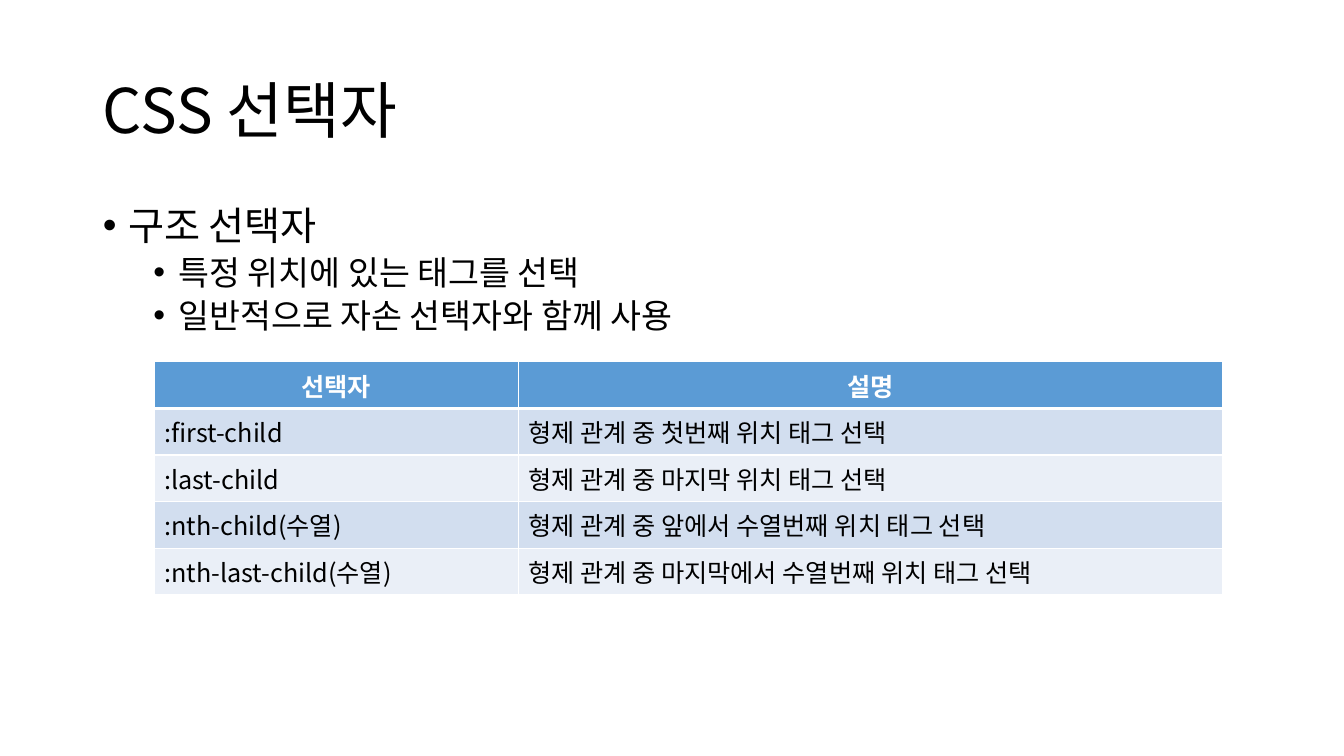
import lxml.etree
import pptx
import pptx.dml.color
import pptx.enum.text
import pptx.oxml.ns
import pptx.util

WIDTH, HEIGHT = 13.33, 7.5
FONT = "Noto Sans CJK KR"
BLACK, WHITE, HEADER = "000000", "FFFFFF", "5B9BD5"
BANDS = ("D2DEEF", "EAEFF7")
BULLETS = [
    (0, "구조 선택자"),
    (1, "특정 위치에 있는 태그를 선택"),
    (1, "일반적으로 자손 선택자와 함께 사용"),
]
SELECTORS = [
    ("선택자", "설명"),
    (":first-child", "형제 관계 중 첫번째 위치 태그 선택"),
    (":last-child", "형제 관계 중 마지막 위치 태그 선택"),
    (":nth-child(수열)", "형제 관계 중 앞에서 수열번째 위치 태그 선택"),
    (":nth-last-child(수열)", "형제 관계 중 마지막에서 수열번째 위치 태그 선택"),
]
COLUMN_WIDTHS = (3.61, 6.99)
ROW_HEIGHT = 0.46


def color(value):
    return pptx.dml.color.RGBColor.from_string(value)


def add_element(parent, tag, **attributes):
    return lxml.etree.SubElement(parent, pptx.oxml.ns.qn(tag), attributes)


def add_run(paragraph, text, size, fill=BLACK, bold=False):
    run = paragraph.add_run()
    run.text = text
    run.font.size = pptx.util.Pt(size)
    run.font.bold = bold
    run.font.color.rgb = color(fill)
    run.font.name = FONT
    add_element(run.font._element, "a:ea", typeface=FONT)


def place(placeholder, left, top, width, height, anchor):
    placeholder.left, placeholder.top, placeholder.width, placeholder.height = map(
        pptx.util.Inches, (left, top, width, height))
    frame = placeholder.text_frame
    frame.word_wrap = True
    frame.auto_size = pptx.enum.text.MSO_AUTO_SIZE.NONE
    frame.vertical_anchor = anchor
    return frame


def fill_title(slide):
    frame = place(slide.shapes.title, 0.92, 0.4, 11.5, 1.45,
                  pptx.enum.text.MSO_ANCHOR.MIDDLE)
    paragraph = frame.paragraphs[0]
    paragraph.alignment = pptx.enum.text.PP_ALIGN.LEFT
    paragraph.line_spacing = 0.9
    add_run(paragraph, "CSS 선택자", 44)


def fill_bullets(slide):
    frame = place(slide.placeholders[1], 0.92, 2, 11.5, 4.76,
                  pptx.enum.text.MSO_ANCHOR.TOP)
    for index, (level, text) in enumerate(BULLETS):
        paragraph = frame.add_paragraph() if index else frame.paragraphs[0]
        paragraph.level = level
        paragraph.line_spacing = 0.9
        paragraph.space_before = pptx.util.Pt(10 - 5 * level)
        properties = paragraph._p.get_or_add_pPr()
        properties.set("marL", str(pptx.util.Inches(0.25 + 0.5 * level)))
        properties.set("indent", str(pptx.util.Inches(-0.25)))
        add_element(properties, "a:buFont", typeface="Arial")
        add_element(properties, "a:buChar", char="•")
        add_run(paragraph, text, 28 - 4 * level)


def add_borders(cell, top, bottom):
    properties = cell._tc.get_or_add_tcPr()
    for side, points in (("L", 1), ("R", 1), ("T", top), ("B", bottom)):
        line = add_element(properties, f"a:ln{side}", w=str(pptx.util.Pt(points)))
        add_element(add_element(line, "a:solidFill"), "a:srgbClr", val=WHITE)


def fill_cell(cell, text, row):
    is_header = row == 0
    add_borders(cell, 3 if row == 1 else 1, 3 if is_header else 1)
    cell.fill.solid()
    cell.fill.fore_color.rgb = color(HEADER if is_header else BANDS[(row - 1) % 2])
    paragraph = cell.text_frame.paragraphs[0]
    if is_header:
        paragraph.alignment = pptx.enum.text.PP_ALIGN.CENTER
    add_run(paragraph, text, 18, WHITE if is_header else BLACK, is_header)


def add_selector_table(slide):
    frame = slide.shapes.add_table(
        len(SELECTORS), len(COLUMN_WIDTHS),
        *map(pptx.util.Inches, (1.53, 3.59, sum(COLUMN_WIDTHS),
                                ROW_HEIGHT * len(SELECTORS))))
    table = frame.table
    for column, width in zip(table.columns, COLUMN_WIDTHS):
        column.width = pptx.util.Inches(width)
    for row, texts in enumerate(SELECTORS):
        for column, text in enumerate(texts):
            fill_cell(table.cell(row, column), text, row)


def main():
    presentation = pptx.Presentation()
    presentation.slide_width = pptx.util.Inches(WIDTH)
    presentation.slide_height = pptx.util.Inches(HEIGHT)
    slide = presentation.slides.add_slide(presentation.slide_layouts[1])
    fill_title(slide)
    fill_bullets(slide)
    add_selector_table(slide)
    presentation.save("out.pptx")


if __name__ == "__main__":
    main()
